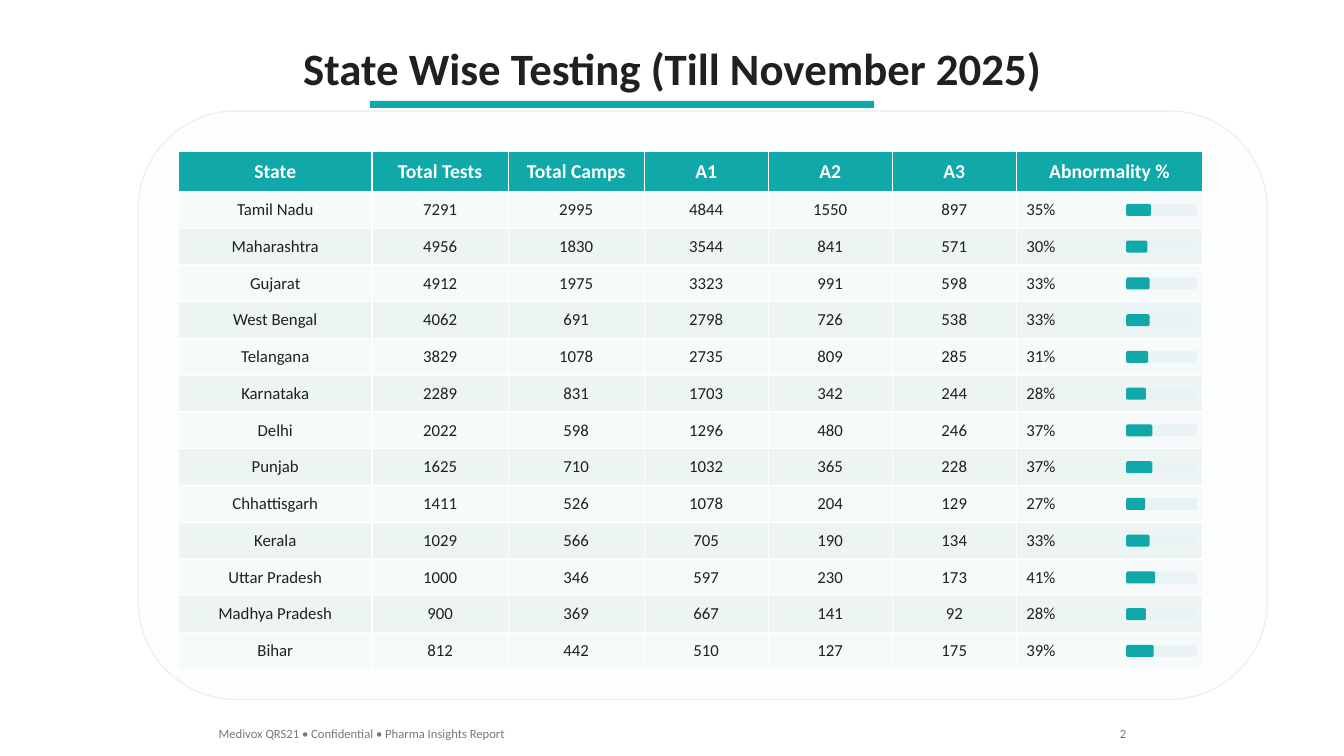
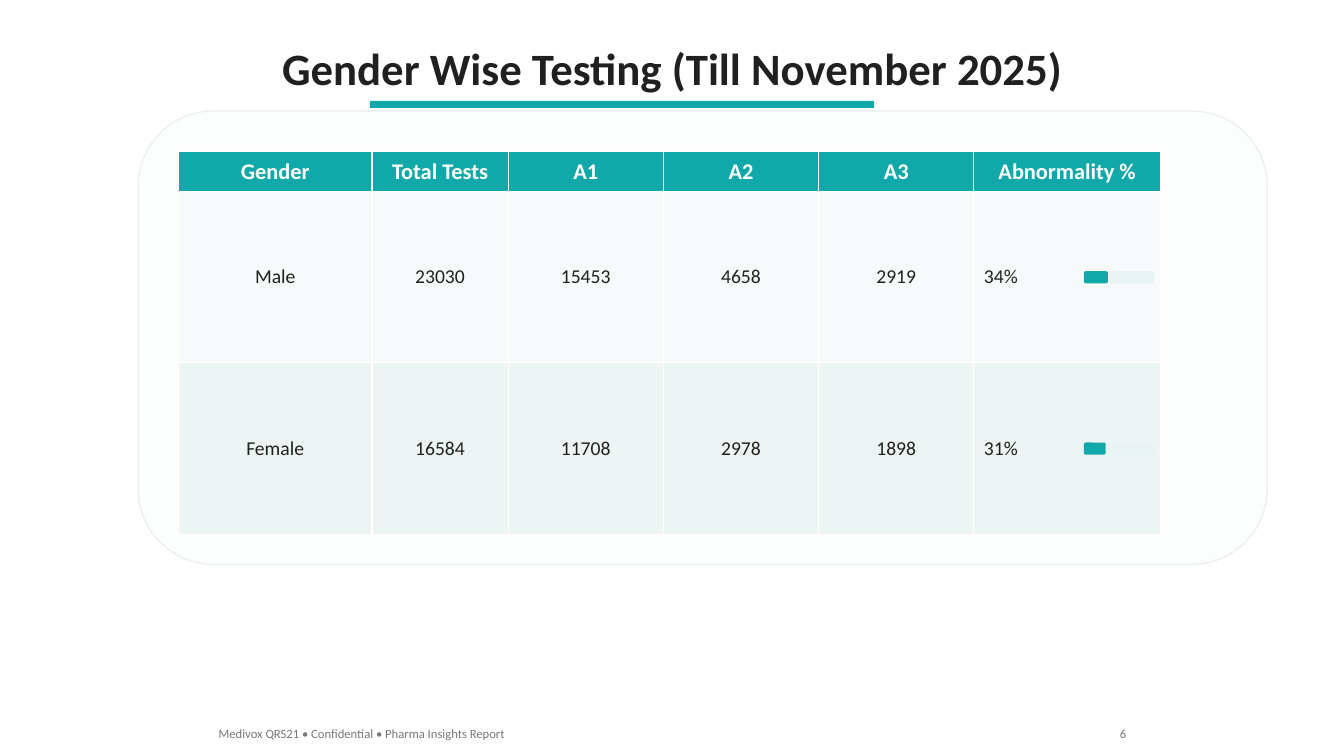
import pptx
import pptx.util
import pptx.dml.color
import pptx.enum.shapes
import pptx.enum.text

Inches = pptx.util.Inches
Color = pptx.dml.color.RGBColor
Shape = pptx.enum.shapes.MSO_SHAPE
Align = pptx.enum.text.PP_ALIGN
Anchor = pptx.enum.text.MSO_ANCHOR
Fit = pptx.enum.text.MSO_AUTO_SIZE

FONT = "Calibri"
TEAL = Color(0x10, 0xA8, 0xA8)
INK = Color(0x20, 0x20, 0x20)
GRAY = Color(0x78, 0x78, 0x78)
WHITE = Color(0xFF, 0xFF, 0xFF)
PANEL = Color(0xFC, 0xFD, 0xFD)
EDGE = Color(0xEB, 0xF0, 0xF0)
TRACK = Color(0xEA, 0xF3, 0xF3)
BANDS = [Color(0xF6, 0xFA, 0xFA), Color(0xEC, 0xF4, 0xF4)]

FOOTER = "Medivox QRS21 • Confidential • Pharma Insights Report"
LEFT, TOP, HEAD = 1.77, 1.5, 0.4
BAR_W, BAR_H, BAR_GAP = 0.7, 0.12, 0.06

STATES = [
    ("Tamil Nadu", 7291, 2995, 4844, 1550, 897, 35),
    ("Maharashtra", 4956, 1830, 3544, 841, 571, 30),
    ("Gujarat", 4912, 1975, 3323, 991, 598, 33),
    ("West Bengal", 4062, 691, 2798, 726, 538, 33),
    ("Telangana", 3829, 1078, 2735, 809, 285, 31),
    ("Karnataka", 2289, 831, 1703, 342, 244, 28),
    ("Delhi", 2022, 598, 1296, 480, 246, 37),
    ("Punjab", 1625, 710, 1032, 365, 228, 37),
    ("Chhattisgarh", 1411, 526, 1078, 204, 129, 27),
    ("Kerala", 1029, 566, 705, 190, 134, 33),
    ("Uttar Pradesh", 1000, 346, 597, 230, 173, 41),
    ("Madhya Pradesh", 900, 369, 667, 141, 92, 28),
    ("Bihar", 812, 442, 510, 127, 175, 39),
]
GENDERS = [
    ("Male", 23030, 15453, 4658, 2919, 34),
    ("Female", 16584, 11708, 2978, 1898, 31),
]


def write(frame, text, size, color, align, bold=False):
    para = frame.paragraphs[0]
    para.alignment = align
    run = para.add_run()
    run.text = text
    run.font.name = FONT
    run.font.size = pptx.util.Pt(size)
    run.font.color.rgb = color
    run.font.bold = bold


def add_text(slide, box, text, size, color, align, bold=False):
    frame = slide.shapes.add_textbox(*map(Inches, box)).text_frame
    frame.word_wrap = False
    frame.auto_size = Fit.SHAPE_TO_FIT_TEXT
    write(frame, text, size, color, align, bold)


def add_block(slide, kind, box, fill, edge=None):
    block = slide.shapes.add_shape(kind, *map(Inches, box))
    block.shadow.inherit = False
    block.fill.solid()
    block.fill.fore_color.rgb = fill
    if edge is None:
        block.line.fill.background()
    else:
        block.line.color.rgb = edge
        block.line.width = pptx.util.Pt(1)


def add_cell(cell, text, size, color, fill, align, bold=False):
    cell.fill.solid()
    cell.fill.fore_color.rgb = fill
    cell.vertical_anchor = Anchor.MIDDLE
    write(cell.text_frame, text, size, color, align, bold)


def add_grid(slide, heads, rows, widths, tall, size):
    box = (LEFT, TOP, sum(widths), HEAD + tall * len(rows))
    grid = slide.shapes.add_table(
        len(rows) + 1, len(heads), *map(Inches, box)).table
    for col, width in zip(grid.columns, widths):
        col.width = Inches(width)
    for num, row in enumerate(grid.rows):
        row.height = Inches(tall if num else HEAD)
    for col, head in enumerate(heads):
        add_cell(grid.cell(0, col), head, size + 2, WHITE, TEAL,
                 Align.CENTER, True)
    for num, row in enumerate(rows):
        texts = [str(item) for item in row[:-1]] + [f"{row[-1]}%"]
        for col, text in enumerate(texts):
            last = col == len(texts) - 1
            add_cell(grid.cell(num + 1, col), text, size, INK,
                     BANDS[num % 2], Align.LEFT if last else Align.CENTER)


def add_bars(slide, rows, right, tall):
    left = right - BAR_GAP - BAR_W
    for num, row in enumerate(rows):
        top = TOP + HEAD + tall * (num + 0.5) - BAR_H / 2
        for part, fill in ((1, TRACK), (row[-1] / 100, TEAL)):
            add_block(slide, Shape.ROUNDED_RECTANGLE,
                      (left, top, BAR_W * part, BAR_H), fill)


def add_page(deck, title, page, heads, rows, widths, tall, size):
    slide = deck.slides.add_slide(deck.slide_layouts[6])
    add_text(slide, (2.67, 0.35, 8, 0.64), title, 32, INK,
             Align.CENTER, True)
    add_block(slide, Shape.RECTANGLE, (3.67, 1, 5, 0.07), TEAL)
    deep = HEAD + tall * len(rows) + 0.7
    add_block(slide, Shape.ROUNDED_RECTANGLE, (1.37, 1.1, 11.2, deep),
              PANEL, EDGE)
    add_grid(slide, heads, rows, widths, tall, size)
    add_bars(slide, rows, LEFT + sum(widths), tall)
    add_text(slide, (2.07, 7.15, 3.05, 0.25), FOOTER, 9, GRAY, Align.LEFT)
    add_text(slide, (11, 7.15, 0.27, 0.25), str(page), 9, GRAY, Align.RIGHT)


def main():
    deck = pptx.Presentation()
    deck.slide_width = Inches(13.33)
    deck.slide_height = Inches(7.5)
    marks = ["A1", "A2", "A3", "Abnormality %"]
    add_page(deck, "State Wise Testing (Till November 2025)", 2,
             ["State", "Total Tests", "Total Camps"] + marks, STATES,
             [1.92, 1.35, 1.35] + [1.23] * 3 + [1.85], 4.74 / len(STATES), 12)
    add_page(deck, "Gender Wise Testing (Till November 2025)", 6,
             ["Gender", "Total Tests"] + marks, GENDERS,
             [1.92, 1.35] + [1.54] * 3 + [1.85], 1.7, 14)
    deck.save("out.pptx")


if __name__ == "__main__":
    main()
